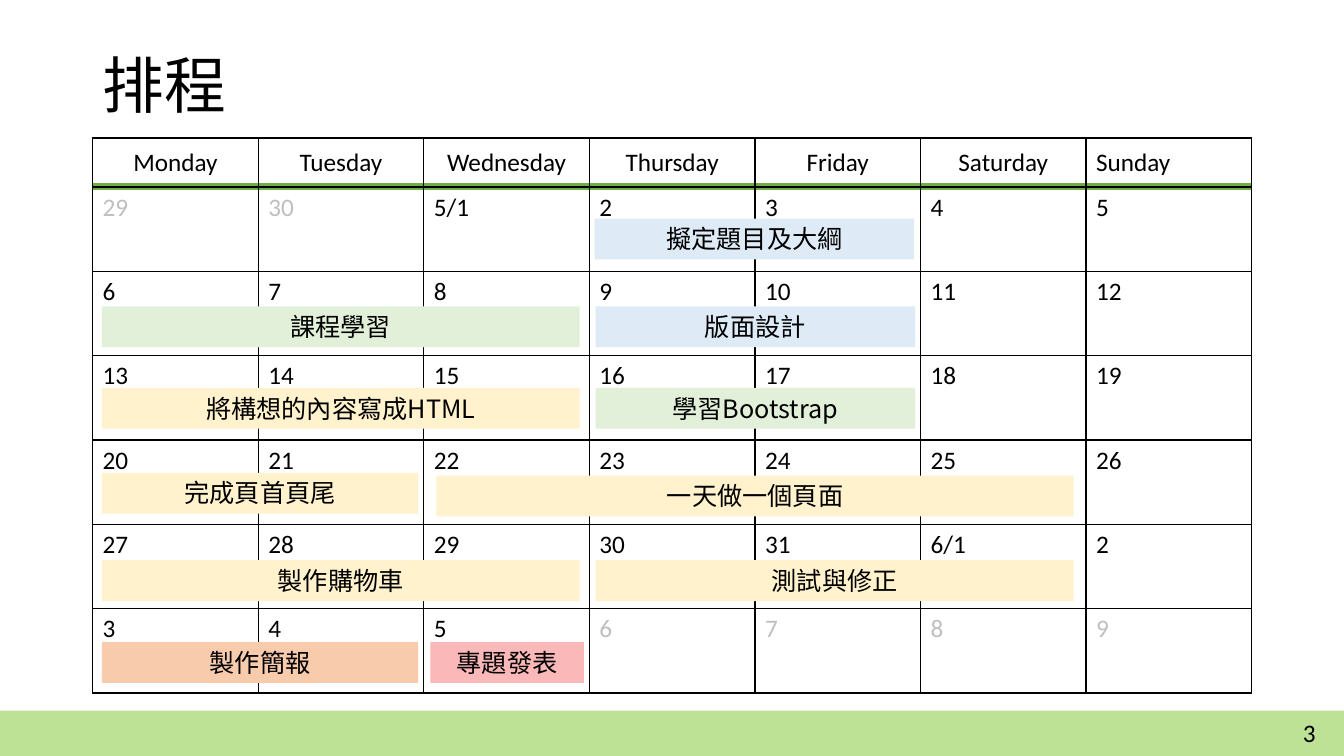
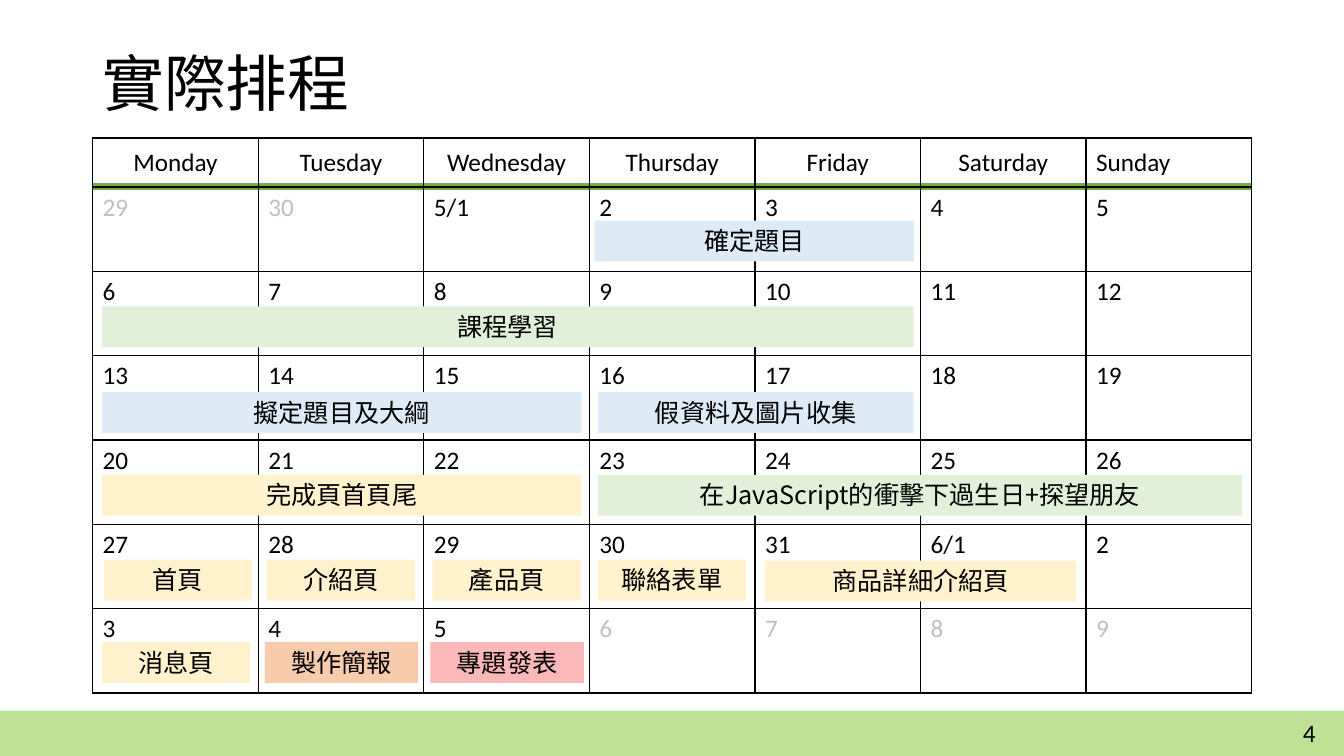
import pptx
import pptx.util
import pptx.dml.color
import pptx.enum.shapes
import pptx.enum.text
import lxml.etree
from dataclasses import dataclass
from pptx.util import Pt

ALIGN = pptx.enum.text.PP_ALIGN
ANCHOR = pptx.enum.text.MSO_ANCHOR
RECTANGLE = pptx.enum.shapes.MSO_SHAPE.RECTANGLE


@dataclass(frozen=True)
class Theme:
    ink: str = "000000"
    muted: str = "BFBFBF"
    band: str = "92D050"
    rule: str = "70AD47"
    plan: str = "DEEBF7"
    study: str = "E2F0D9"
    build: str = "FFF2CC"
    report: str = "F8CBAD"
    present: str = "FAB8B8"
    cjk: str = "Noto Sans CJK SC"
    latin: str = "Calibri"
    title_size: int = 44
    text_size: int = 18


THEME = Theme()

WEEKDAYS = ["Monday", "Tuesday", "Wednesday", "Thursday", "Friday", "Saturday", "Sunday"]
WEEKS = [
    ["29", "30", "5/1", "2", "3", "4", "5"],
    ["6", "7", "8", "9", "10", "11", "12"],
    ["13", "14", "15", "16", "17", "18", "19"],
    ["20", "21", "22", "23", "24", "25", "26"],
    ["27", "28", "29", "30", "31", "6/1", "2"],
    ["3", "4", "5", "6", "7", "8", "9"],
]
OUTSIDE_PROJECT = {(0, 0), (0, 1), (5, 3), (5, 4), (5, 5), (5, 6)}

# Task fields: text, colour, week, first day, days, left gap, right gap, drop
SCHEDULES = [
    {"title": "排程", "number": 3, "title_top": 19.5, "tasks": [
        ("擬定題目及大綱", THEME.plan, 0, 3, 2, 3.7, 4.6, 22.6),
        ("課程學習", THEME.study, 1, 0, 3, 6.5, 7, 25),
        ("版面設計", THEME.plan, 1, 3, 2, 4.4, 4, 25),
        ("將構想的內容寫成HTML", THEME.build, 2, 0, 3, 6.5, 7, 23),
        ("學習Bootstrap", THEME.study, 2, 3, 2, 4.4, 4, 23),
        ("完成頁首頁尾", THEME.build, 3, 0, 2, 6.5, 4, 23.4),
        ("一天做一個頁面", THEME.build, 3, 2, 4, 9, 9, 25.4),
        ("製作購物車", THEME.build, 4, 0, 3, 6.5, 7, 25.6),
        ("測試與修正", THEME.build, 4, 3, 3, 4.4, 9, 25.6),
        ("製作簡報", THEME.report, 5, 0, 2, 6.5, 4, 23.8),
        ("專題發表", THEME.present, 5, 2, 1, 4.6, 4, 23.8),
    ]},
    {"title": "實際排程", "number": 4, "title_top": 18, "tasks": [
        ("確定題目", THEME.plan, 0, 3, 2, 3.7, 4.6, 24),
        ("擬定題目及大綱", THEME.plan, 2, 0, 3, 6.5, 5.7, 26),
        ("假資料及圖片收集", THEME.plan, 2, 3, 2, 6, 5, 26),
        ("課程學習", THEME.study, 1, 0, 5, 6.5, 5, 25),
        ("完成頁首頁尾", THEME.build, 3, 0, 3, 6.5, 5.7, 24.8),
        ("在JavaScript的衝擊下過生日+探望朋友", THEME.study, 3, 3, 4, 6, 7, 24.8),
        ("首頁", THEME.build, 4, 0, 1, 8, 4.5, 25.2),
        ("介紹頁", THEME.build, 4, 1, 1, 6.2, 6.2, 25.2),
        ("產品頁", THEME.build, 4, 2, 1, 6.2, 6.2, 25.2),
        ("聯絡表單", THEME.build, 4, 3, 1, 6, 6.5, 25.2),
        ("商品詳細介紹頁", THEME.build, 4, 4, 2, 7, 7, 25.8),
        ("消息頁", THEME.build, 5, 0, 1, 6.5, 6, 23.8),
        ("製作簡報", THEME.report, 5, 1, 1, 4.8, 4, 23.8),
        ("專題發表", THEME.present, 5, 2, 1, 4.6, 4, 23.8),
    ]},
]

SLIDE_WIDTH, SLIDE_HEIGHT = 960, 540
LEFT, WIDTH = 66.2, 828
GRID_TOP, HEADER_HEIGHT, WEEK_HEIGHT = 98.6, 35, 60.25
DAY_WIDTH = WIDTH / len(WEEKDAYS)
TASK_HEIGHT = 29.2
TITLE_HEIGHT = 87
BAND_TOP = 507.6
RULE_TOP = 133.2


def rgb(code):
    return pptx.dml.color.RGBColor.from_string(code)


def add_xml(parent, tag, **attributes):
    qualified = pptx.oxml.ns.qn(tag)
    return lxml.etree.SubElement(parent, qualified, **attributes)


def write(frame, text, font=THEME.cjk, size=THEME.text_size, color=THEME.ink,
          align=ALIGN.LEFT, anchor=ANCHOR.TOP, spacing=None):
    frame.word_wrap = True
    frame.vertical_anchor = anchor
    paragraph = frame.paragraphs[0]
    paragraph.alignment = align
    if spacing:
        paragraph.line_spacing = spacing
    run = paragraph.add_run()
    run.text = text
    run.font.size = Pt(size)
    run.font.name = font
    run.font.color.rgb = rgb(color)
    add_xml(run._r.get_or_add_rPr(), "a:ea", typeface=font)


def add_block(slide, left, top, width, height, color):
    block = slide.shapes.add_shape(RECTANGLE, Pt(left), Pt(top), Pt(width), Pt(height))
    block.shadow.inherit = False
    block.fill.solid()
    block.fill.fore_color.rgb = rgb(color)
    block.line.fill.background()
    return block


def decorate_layout(layout, slide):
    for placeholder in list(layout.placeholders):
        if placeholder.placeholder_format.idx != 0:
            layout.shapes.element.remove(placeholder.element)
    band = add_block(slide, 0, BAND_TOP, SLIDE_WIDTH, SLIDE_HEIGHT - BAND_TOP, THEME.band)
    band_color = next(band.element.spPr.iter(pptx.oxml.ns.qn("a:srgbClr")))
    add_xml(band_color, "a:alpha", val="60000")
    rule = slide.shapes.add_connector(
        pptx.enum.shapes.MSO_CONNECTOR.STRAIGHT,
        Pt(LEFT), Pt(RULE_TOP), Pt(LEFT + WIDTH), Pt(RULE_TOP))
    rule.line.color.rgb = rgb(THEME.rule)
    rule.line.width = Pt(4.5)
    add_xml(rule.element.spPr, "a:effectLst")
    for part in (band, rule):
        layout.shapes.element.append(part.element)


def add_title(slide, text, top):
    title = slide.shapes.title
    title.left, title.top = Pt(LEFT), Pt(top)
    title.width, title.height = Pt(WIDTH), Pt(TITLE_HEIGHT)
    title.text_frame.auto_size = pptx.enum.text.MSO_AUTO_SIZE.NONE
    write(title.text_frame, text, size=THEME.title_size, anchor=ANCHOR.MIDDLE, spacing=0.9)


def outline_cell(cell):
    properties = cell._tc.get_or_add_tcPr()
    for side in ("a:lnL", "a:lnR", "a:lnT", "a:lnB"):
        border = add_xml(properties, side, w=str(Pt(1)))
        add_xml(add_xml(border, "a:solidFill"), "a:srgbClr", val=THEME.ink)
    cell.fill.background()


def add_calendar(slide):
    height = HEADER_HEIGHT + WEEK_HEIGHT * len(WEEKS)
    calendar = slide.shapes.add_table(
        len(WEEKS) + 1, len(WEEKDAYS), Pt(LEFT), Pt(GRID_TOP), Pt(WIDTH), Pt(height)).table
    calendar.first_row = calendar.horz_banding = False
    for column in calendar.columns:
        column.width = Pt(DAY_WIDTH)
    for index, row in enumerate(calendar.rows):
        row.height = Pt(WEEK_HEIGHT if index else HEADER_HEIGHT)
    for day, name in enumerate(WEEKDAYS):
        header = calendar.cell(0, day)
        outline_cell(header)
        write(header.text_frame, name, font=THEME.latin,
              align=ALIGN.LEFT if name == "Sunday" else ALIGN.CENTER)
        header.vertical_anchor = ANCHOR.MIDDLE
        for week, dates in enumerate(WEEKS):
            cell = calendar.cell(week + 1, day)
            outline_cell(cell)
            write(cell.text_frame, dates[day], font=THEME.latin,
                  color=THEME.muted if (week, day) in OUTSIDE_PROJECT else THEME.ink)


def add_page_number(slide, number):
    page = slide.shapes.add_textbox(Pt(730.8), Pt(509), Pt(216), Pt(28.8))
    write(page.text_frame, str(number), font=THEME.latin,
          align=ALIGN.RIGHT, anchor=ANCHOR.MIDDLE)


def add_task(slide, text, color, week, day, days, left_gap, right_gap, drop):
    left = LEFT + day * DAY_WIDTH + left_gap
    top = GRID_TOP + HEADER_HEIGHT + week * WEEK_HEIGHT + drop
    width = days * DAY_WIDTH - left_gap - right_gap
    task = add_block(slide, left, top, width, TASK_HEIGHT, color)
    task.text_frame.auto_size = pptx.enum.text.MSO_AUTO_SIZE.SHAPE_TO_FIT_TEXT
    write(task.text_frame, text, align=ALIGN.CENTER)


def main():
    deck = pptx.Presentation()
    deck.slide_width, deck.slide_height = Pt(SLIDE_WIDTH), Pt(SLIDE_HEIGHT)
    layout = deck.slide_layouts[5]
    for index, schedule in enumerate(SCHEDULES):
        slide = deck.slides.add_slide(layout)
        if index == 0:
            decorate_layout(layout, slide)
        add_title(slide, schedule["title"], schedule["title_top"])
        add_calendar(slide)
        add_page_number(slide, schedule["number"])
        for task in schedule["tasks"]:
            add_task(slide, *task)
    deck.save("out.pptx")


if __name__ == "__main__":
    main()
